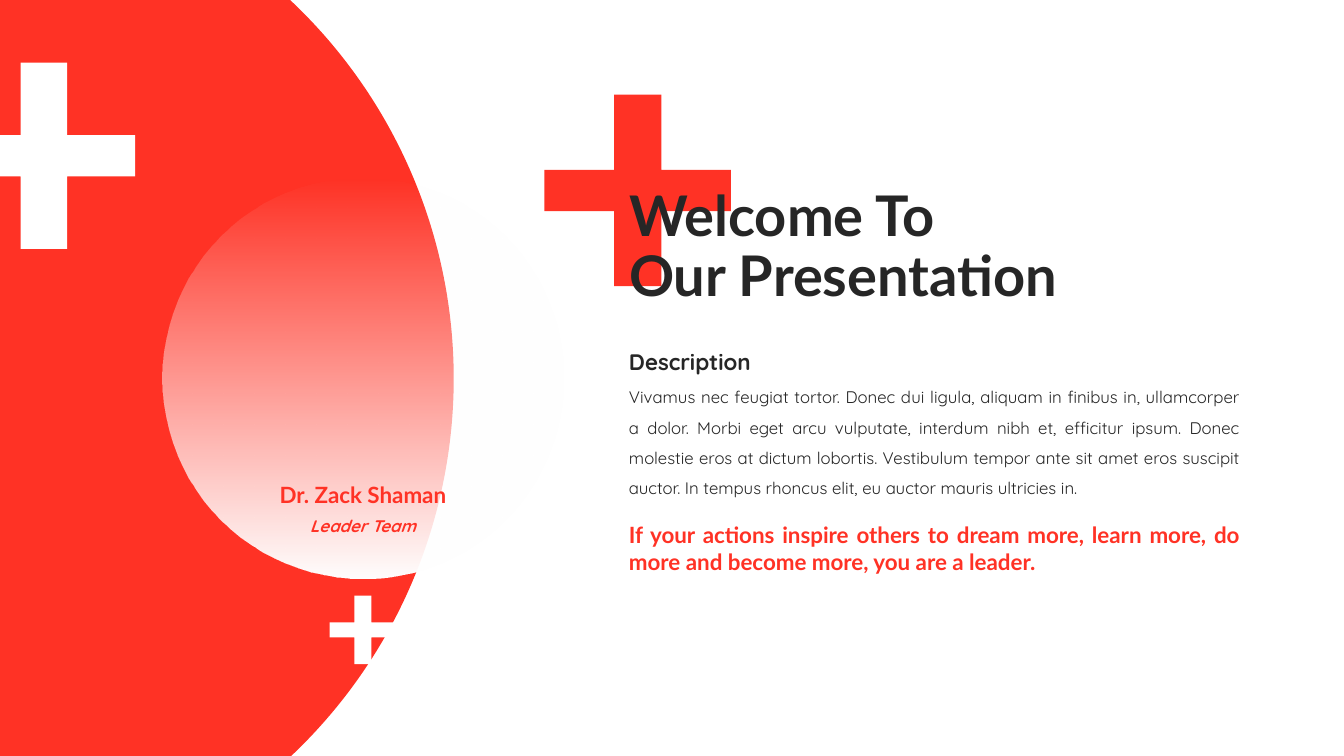
"""Build the welcome slide with red circle, crosses and leader quote."""
import pptx
import pptx.util
import pptx.dml.color
import pptx.enum.shapes
import pptx.enum.text
import lxml.etree
from dataclasses import dataclass

Inches = pptx.util.Inches
Align = pptx.enum.text.PP_ALIGN
AutoSize = pptx.enum.text.MSO_AUTO_SIZE


@dataclass(frozen=True)
class Theme:
    red: str = "FF3225"
    white: str = "FFFFFF"
    dark: str = "262626"
    heading_font: str = "Lato"
    body_font: str = "Quicksand"
    title_size: int = 40
    heading_size: int = 16
    body_size: int = 12


theme = Theme()


def add_cross(shapes, left, top, width, height, post, beam, color):
    """Draw a cross with an upright post and a level beam."""
    x = [left, left + (width - post) / 2, left + (width + post) / 2, left + width]
    y = [top, top + (height - beam) / 2, top + (height + beam) / 2, top + height]
    corners = [(1, 0), (2, 0), (2, 1), (3, 1), (3, 2), (2, 2),
               (2, 3), (1, 3), (1, 2), (0, 2), (0, 1), (1, 1)]
    points = [(Inches(x[column]), Inches(y[row])) for column, row in corners]
    builder = shapes.build_freeform(*points[0])
    builder.add_line_segments(points[1:], close=True)
    cross = builder.convert_to_shape()
    cross.shadow.inherit = False
    cross.fill.solid()
    cross.fill.fore_color.rgb = pptx.dml.color.RGBColor.from_string(color)
    cross.line.fill.background()


def add_run(paragraph, text, font_name, size, color, bold=True, italic=False):
    """Append a formatted run."""
    run = paragraph.add_run()
    run.text = text
    run.font.name = font_name
    run.font.size = pptx.util.Pt(size)
    run.font.bold = bold
    run.font.italic = italic
    run.font.color.rgb = pptx.dml.color.RGBColor.from_string(color)


presentation = pptx.Presentation()
presentation.slide_width = Inches(13.33)
presentation.slide_height = Inches(7.5)
slide = presentation.slides.add_slide(presentation.slide_layouts[5])
shapes = slide.shapes
title = shapes.title

circles = []
for left, top, diameter in [(-5.81, -1.4, 10.31), (1.61, 1.76, 3.98)]:
    circle = shapes.add_shape(
        pptx.enum.shapes.MSO_SHAPE.OVAL,
        Inches(left), Inches(top), Inches(diameter), Inches(diameter))
    circle.shadow.inherit = False
    circle.line.fill.background()
    circles.append(circle)
backdrop, portrait = circles
backdrop.fill.solid()
backdrop.fill.fore_color.rgb = pptx.dml.color.RGBColor.from_string(theme.red)

portrait.fill.gradient()
portrait.fill.gradient_angle = 270
for stop, position in zip(portrait.fill.gradient_stops, (0, 1)):
    stop.color.rgb = pptx.dml.color.RGBColor.from_string(theme.white)
    stop.position = position
clear_color = portrait.fill._xPr.find(".//" + pptx.oxml.ns.qn("a:srgbClr"))
lxml.etree.SubElement(clear_color, pptx.oxml.ns.qn("a:alpha"), val="0")

for cross in [
    (5.4, 0.94, 1.85, 1.9, 0.47, 0.41, theme.red),
    (-0.47, 0.62, 1.81, 1.85, 0.46, 0.41, theme.white),
    (3.27, 5.91, 0.66, 0.68, 0.17, 0.15, theme.white),
]:
    add_cross(shapes, *cross)

title.left, title.top = Inches(6.14), Inches(1.74)
title.width, title.height = Inches(4.86), Inches(1.45)
title.text_frame.auto_size = AutoSize.NONE
title.text_frame.word_wrap = True
title.text_frame.vertical_anchor = pptx.enum.text.MSO_ANCHOR.MIDDLE
paragraph = title.text_frame.paragraphs[0]
paragraph.alignment = Align.LEFT
paragraph.line_spacing = 0.9
title_style = (theme.heading_font, theme.title_size, theme.dark)
add_run(paragraph, "Welcome To", *title_style)
paragraph.add_line_break()
add_run(paragraph, "Our Presentation", *title_style)
shapes._spTree.append(title._element)

description = (
    "Vivamus nec feugiat tortor. Donec dui ligula, aliquam in finibus in, "
    "ullamcorper a dolor. Morbi eget arcu vulputate, interdum nibh et, efficitur "
    "ipsum. Donec molestie eros at dictum lobortis. Vestibulum tempor ante sit amet "
    "eros suscipit auctor. In tempus rhoncus elit, eu auctor mauris ultricies in.")
quote = ("If your actions inspire others to dream more, learn more, "
         "do more and become more, you are a leader.")
heading = (theme.heading_font, theme.heading_size, theme.red)
for box, alignment, spacing, text, style in [
    ((6.14, 3.27, 2.96, 0.45), Align.JUSTIFY, 1.5, "Description",
     (theme.body_font, theme.heading_size, theme.dark)),
    ((6.14, 3.69, 6.26, 1.31), Align.JUSTIFY, 1.5, description,
     (theme.body_font, theme.body_size, theme.dark, False)),
    ((6.14, 5.12, 6.26, 0.64), Align.JUSTIFY, 1.0, quote, heading),
    ((2.32, 4.59, 2.56, 0.45), Align.CENTER, 1.5, "Dr. Zack Shaman", heading),
    ((2.32, 4.97, 2.56, 0.37), Align.CENTER, 1.5, "Leader Team",
     (theme.body_font, theme.body_size, theme.red, True, True)),
]:
    text_frame = shapes.add_textbox(*map(Inches, box)).text_frame
    text_frame.word_wrap = True
    text_frame.auto_size = AutoSize.SHAPE_TO_FIT_TEXT
    paragraph = text_frame.paragraphs[0]
    paragraph.alignment = alignment
    paragraph.line_spacing = spacing
    add_run(paragraph, text, *style)

presentation.save("out.pptx")
